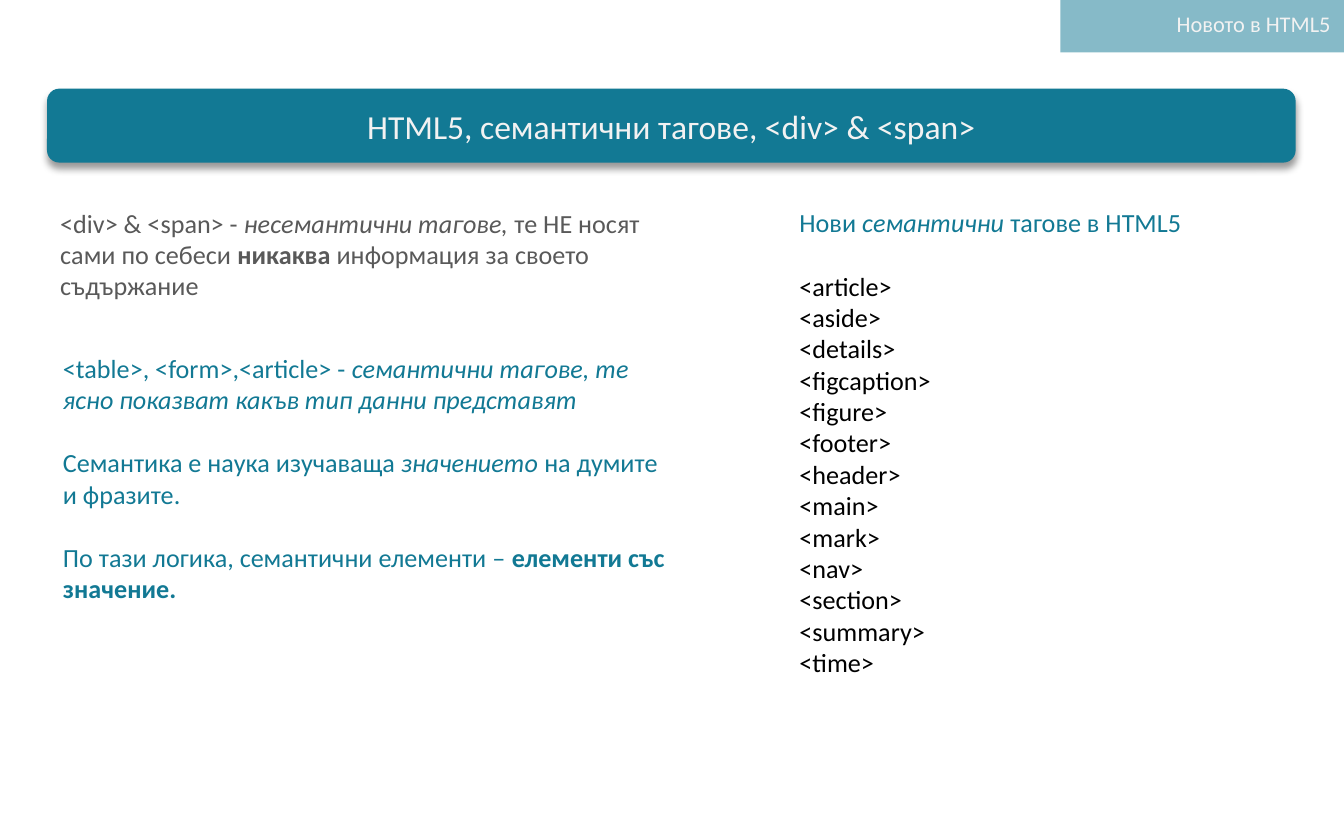
from dataclasses import dataclass
from typing import NamedTuple

from lxml import etree
from pptx import Presentation
from pptx import util as u
from pptx.dml.color import RGBColor
from pptx.enum import shapes, text
from pptx.oxml import ns

HUES = {"teal": "127994", "strip": "0F7792", "pale": "F2F2F2", "gray": "595959", "black": "000000"}
WIDE, HIGH = u.Inches(10), u.Inches(6.25)
COL, ROW = WIDE / 100, HIGH / 100
LINE = u.Pt(17)
STYLES = {"": {}, "i": {"italic": True}, "b": {"bold": True}}
KINDS = shapes.MSO_SHAPE
ALIGN = text.PP_ALIGN


class Run(NamedTuple):
    words: str
    style: str = ""


class Para(NamedTuple):
    runs: tuple[Run, ...]
    hue: str
    gap: int = 0


@dataclass
class Area:
    col: float
    row: float
    cols: float
    rows: float

    def place(self) -> list[int]:
        return [round(n) for n in (self.col * COL, self.row * ROW, self.cols * COL, self.rows * ROW)]


@dataclass
class Block:
    area: Area
    paras: list[Para]
    size: int = 14
    align: ALIGN = ALIGN.LEFT
    wrap: bool = True


def apply(target, values: dict) -> None:
    for name, value in values.items():
        setattr(target, name, value)


def color(hue: str) -> RGBColor:
    return RGBColor.from_string(HUES[hue])


def write(frame, block: Block) -> None:
    frame.word_wrap = block.wrap
    for at, item in enumerate(block.paras):
        para = frame.add_paragraph() if at else frame.paragraphs[0]
        apply(para, {"alignment": block.align, "space_before": item.gap})
        for part in item.runs:
            run = para.add_run()
            run.text = part.words
            apply(run.font, {"name": "Calibri", "size": u.Pt(block.size), **STYLES[part.style]})
            run.font.color.rgb = color(item.hue)


def box(slide, block: Block) -> None:
    write(slide.shapes.add_textbox(*block.area.place()).text_frame, block)


def panel(slide, kind: KINDS, area: Area, hue: str):
    shape = slide.shapes.add_shape(kind, *area.place())
    shape.shadow.inherit = False
    shape.fill.solid()
    shape.fill.fore_color.rgb = color(hue)
    shape.line.fill.background()
    return shape


def fade(node, share: int) -> None:
    etree.SubElement(node, ns.qn("a:alpha"), val=str(share * 1000))


def shade(shape) -> None:
    list_ = shape.element.spPr.find(ns.qn("a:effectLst"))
    cast = etree.SubElement(list_, ns.qn("a:outerShdw"), blurRad=str(u.Pt(4)),
                            dist=str(u.Pt(3)), dir="5400000", rotWithShape="0")
    fade(etree.SubElement(cast, ns.qn("a:srgbClr"), val=HUES["black"]), 40)


TAGS = ("article aside details figcaption figure footer header "
        "main mark nav section summary time").split()

LABEL = Block(Area(86.4, 0.48, 13.6, 8), [Para((Run("Новото в HTML5"),), "pale")],
              12, ALIGN.RIGHT, False)
TITLE = Block(Area(3.5, 10.56, 92.9, 8.8),
              [Para((Run("HTML5, семантични тагове, <div> & <span>"),), "pale")],
              18, ALIGN.CENTER)
BODY = [
    Block(Area(3.5, 23.84, 45.7, 12.96), [
        Para((Run("<div> & <span> - "), Run("несемантични тагове, ", "i"),
              Run("те НЕ носят сами по себеси "), Run("никаква ", "b"),
              Run("информация за своето съдържание")), "gray"),
    ]),
    Block(Area(3.7, 41.12, 47.1, 31.84), [
        Para((Run("<table>, <form>,<article> - "),
              Run("семантични тагове, те ясно показват какъв тип данни представят", "i")), "teal"),
        Para((Run("Семантика е наука изучаваща "), Run("значението ", "i"),
              Run("на думите и фразите.")), "teal", LINE),
        Para((Run("По тази логика, семантични елементи – "),
              Run("елементи със значение.", "b")), "teal", LINE),
    ]),
    Block(Area(58.5, 23.84, 31, 58.24), [
        Para((Run("Нови "), Run("семантични ", "i"), Run("тагове в HTML5")), "teal"),
        *(Para((Run(f"<{tag}>"),), "black", 0 if at else LINE) for at, tag in enumerate(TAGS)),
    ]),
]


def main() -> None:
    deck = Presentation()
    apply(deck, {"slide_width": WIDE, "slide_height": HIGH})
    slide = deck.slides.add_slide(deck.slide_layouts[6])
    strip = panel(slide, KINDS.RECTANGLE, Area(78.9, 0, 21.1, 6.24), "strip")
    fade(strip.element.spPr.find(ns.qn("a:solidFill"))[0], 50)
    box(slide, LABEL)
    bar = panel(slide, KINDS.ROUNDED_RECTANGLE, TITLE.area, "teal")
    shade(bar)
    bar.text_frame.vertical_anchor = text.MSO_ANCHOR.MIDDLE
    write(bar.text_frame, TITLE)
    for block in BODY:
        box(slide, block)
    deck.save("out.pptx")


if __name__ == "__main__":
    main()
